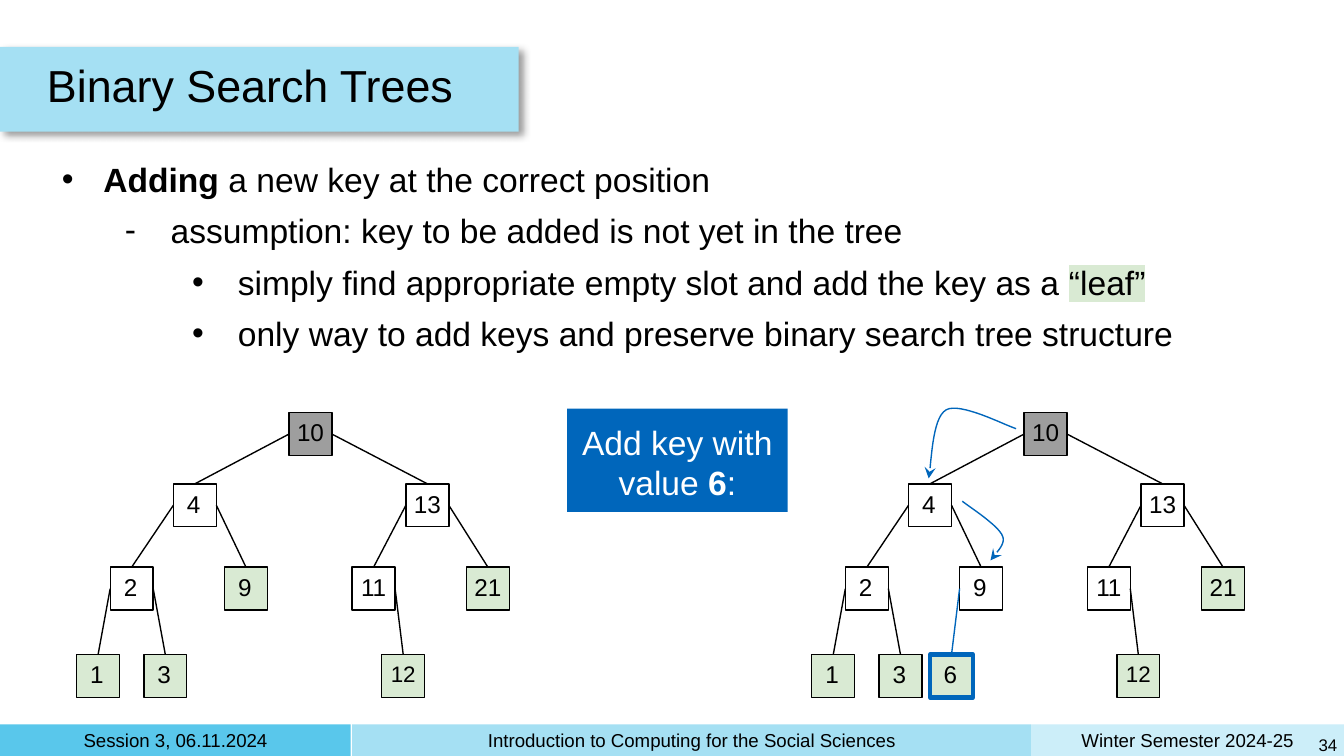
from lxml.etree import SubElement
from pptx import Presentation
from pptx.dml.color import RGBColor
from pptx.enum.shapes import MSO_CONNECTOR as Connector, MSO_SHAPE as Shape
from pptx.enum.text import MSO_ANCHOR as Anchor, PP_ALIGN as Align
from pptx.oxml import parse_xml
from pptx.oxml.ns import nsdecls, qn
from pptx.util import Inches, Pt

BLACK = RGBColor(0x00, 0x00, 0x00)
WHITE = RGBColor(0xFF, 0xFF, 0xFF)
GRAY = RGBColor(0x9E, 0x9E, 0x9E)
GREEN = RGBColor(0xD9, 0xEA, 0xD3)
BLUE = RGBColor(0x00, 0x66, 0xBB)
SKY = RGBColor(0x59, 0xC7, 0xEB)
LIGHT_SKY = RGBColor(0xA5, 0xE0, 0xF3)
PALE_SKY = RGBColor(0xCC, 0xEE, 0xF9)

deck = Presentation()
deck.slide_width = Inches(10)
deck.slide_height = Inches(10 * 9 / 16)
page = deck.slides.add_slide(deck.slide_layouts[6])


def add_box(place, fill=None, line=None, width=0.75, insets=(0.05,) * 4, anchor=Anchor.MIDDLE):
    """Add a filled rectangle, or a text box when there is no fill; insets run left, top, right, bottom."""
    place = [Inches(length) for length in place]
    if fill is None:
        box = page.shapes.add_textbox(*place)
    else:
        box = page.shapes.add_shape(Shape.RECTANGLE, *place)
        box.shadow.inherit = False
        box.fill.solid()
        box.fill.fore_color.rgb = fill
        if line is None:
            box.line.fill.background()
        else:
            box.line.color.rgb = line
            box.line.width = Pt(width)
    frame = box.text_frame
    frame.word_wrap = True
    frame.vertical_anchor = anchor
    for side, inset in zip(("left", "top", "right", "bottom"), insets):
        setattr(frame, f"margin_{side}", Inches(inset))
    return box


def write(para, spans, size, color=BLACK, align=Align.LEFT):
    """Fill a paragraph with (text, format) spans."""
    para.alignment = align
    for text, extra in spans:
        span = para.add_run()
        span.text = text
        for name, value in {"name": "Arial", "size": Pt(size), **extra}.items():
            setattr(span.font, name, value)
        span.font.color.rgb = color


# Footer
for left, width, color, text in (
    (7.67, 2.33, PALE_SKY, "Winter Semester 2024-25"),
    (0, 2.61, SKY, "Session 3, 06.11.2024"),
    (2.62, 5.05, LIGHT_SKY, "Introduction to Computing for the Social Sciences"),
):
    add_box((left, 5.39, width, 0.24), color)
    label = add_box((left + 0.05, 5.41, width - 0.1, 0.19))
    write(label.text_frame.paragraphs[0], [(text, {})], 10, align=Align.CENTER)

# Title on its shadowed bar
bar = add_box((0, 0.35, 3.86, 0.63), LIGHT_SKY)
effects = bar._element.spPr.find(qn("a:effectLst"))
effects.append(parse_xml(
    f'<a:outerShdw {nsdecls("a")} blurRad="{Pt(4)}" dist="{Pt(3)}" dir="2700000" algn="tl" '
    'rotWithShape="0"><a:srgbClr val="000000"><a:alpha val="40000"/></a:srgbClr></a:outerShdw>'))

# Bullet list
frame = add_box((0.41, 1.13, 9.19, 1.57), anchor=Anchor.TOP).text_frame
bullets = (
    (0, "•", [("Adding", {"bold": True}), (" a new key at the correct position", {})]),
    (1, "-", [("assumption: key to be added is not yet in the tree", {})]),
    (2, "•", [("simply find appropriate empty slot and add the key as a ", {}), ("“leaf”", {})]),
    (2, "•", [("only way to add keys and preserve binary search tree structure", {})]),
)
for row, (level, mark, spans) in enumerate(bullets):
    para = frame.add_paragraph() if row else frame.paragraphs[0]
    para.level = level
    para.space_before = Pt(6 if row else 0)
    write(para, spans, 18)
    properties = para._p.get_or_add_pPr()
    properties.set("marL", str(Inches(0.31 + 0.5 * level)))
    properties.set("indent", str(Inches(-0.34 if level else -0.33)))
    bullet_color = SubElement(properties, qn("a:buClr"))
    SubElement(bullet_color, qn("a:srgbClr"), val=str(BLACK))
    SubElement(properties, qn("a:buFont"), typeface="Arial")
    SubElement(properties, qn("a:buChar"), char=mark)

leaf = frame.paragraphs[2].runs[1]
leaf._r.rPr.find(qn("a:solidFill")).addnext(parse_xml(
    f'<a:highlight {nsdecls("a")}><a:srgbClr val="{GREEN}"/></a:highlight>'))

title = add_box((0.3, 0.35, 8.7, 0.63)).text_frame.paragraphs[0]
title.line_spacing = 0.8
write(title, [("Binary Search Trees", {})], 24)

number = add_box((9.76, 5.42, 0.24, 0.25))
number.text_frame.word_wrap = False
write(number.text_frame.paragraphs[0], [("34", {})], 9, align=Align.RIGHT)

# Task between the trees
task = add_box((4.22, 3.04, 1.64, 0.77), BLUE, insets=(0.1,) * 4, anchor=Anchor.TOP)
write(task.text_frame.paragraphs[0],
      [("Add key with value ", {}), ("6", {"bold": True}), (":", {})], 18, WHITE, Align.CENTER)

# Trees: key -> (left, depth, parent); a smaller key hangs on its parent's left side
NODE = 0.32
LEVELS = (3.07, 3.6, 4.22, 4.87)
TOP, LEFT, RIGHT = 0, 1, 3
before = {
    10: (2.15, 0, None), 4: (1.29, 1, 10), 13: (3.02, 1, 10),
    2: (0.82, 2, 4), 9: (1.67, 2, 4), 11: (2.62, 2, 13), 21: (3.47, 2, 13),
    1: (0.57, 3, 2), 3: (1.07, 3, 2), 12: (2.84, 3, 11),
}
after = {**before, 6: (1.45, 3, 9)}

for tree, shift in ((before, 0), (after, 5.47)):
    parents = {parent for _, _, parent in tree.values()}
    nodes = {}
    for key, (left, depth, parent) in tree.items():
        fill = GRAY if parent is None else WHITE if key in parents else GREEN
        is_new = key not in before
        insets = (0.08, 0, 0.1, 0.03) if key < 10 else (0.01, 0, 0.01, 0.03)
        nodes[key] = add_box((left + shift, LEVELS[depth], NODE, NODE), fill,
                             BLUE if is_new else BLACK, 2.25 if is_new else 0.75, insets)
        write(nodes[key].text_frame.paragraphs[0], [(str(key), {})],
              12 if key == 12 else 13, align=Align.CENTER)
        if parent is None:
            continue
        edge = page.shapes.add_connector(Connector.STRAIGHT, 0, 0, 0, 0)
        edge.begin_connect(nodes[parent], LEFT if key < parent else RIGHT)
        edge.end_connect(nodes[key], TOP)
        edge.line.color.rgb = BLUE if is_new else BLACK
        edge.line.width = Pt(0.75)
        SubElement(edge._element.spPr, qn("a:effectLst"))

# Search path: curved arrows, each a chain of two cubic curves
STEPS = 16
for controls in (
    ((7.56, 3.19), (7.47, 3.16), (7.14, 2.99), (7.04, 3.05), (6.93, 3.11), (6.93, 3.48), (6.91, 3.56)),
    ((7.16, 3.73), (7.21, 3.77), (7.43, 3.91), (7.46, 3.99), (7.49, 4.06), (7.38, 4.14), (7.37, 4.17)),
):
    points = []
    for first in (0, 3):
        curve = controls[first:first + 4]
        for step in range(1, STEPS + 1):
            t = step / STEPS
            weights = ((1 - t) ** 3, 3 * t * (1 - t) ** 2, 3 * t ** 2 * (1 - t), t ** 3)
            points.append([Inches(sum(w * point[axis] for w, point in zip(weights, curve)))
                           for axis in (0, 1)])
    start_x, start_y = controls[0]
    builder = page.shapes.build_freeform(Inches(start_x), Inches(start_y))
    builder.add_line_segments(points, close=False)
    arrow = builder.convert_to_shape()
    arrow.shadow.inherit = False
    arrow.fill.background()
    arrow.line.color.rgb = BLUE
    arrow.line.width = Pt(0.75)
    SubElement(arrow.line._get_or_add_ln(), qn("a:tailEnd"), type="stealth", w="med", len="med")

deck.save("out.pptx")
